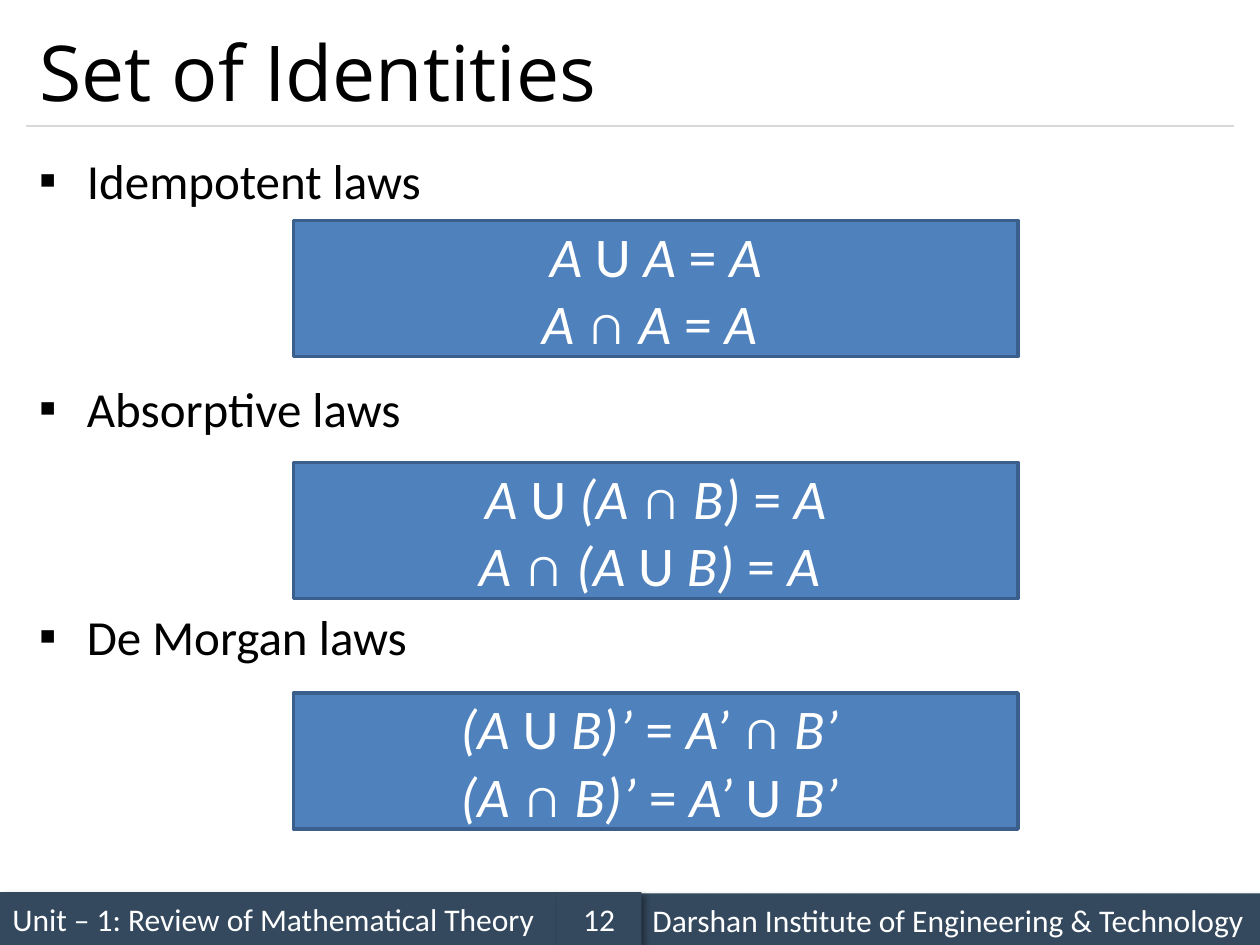
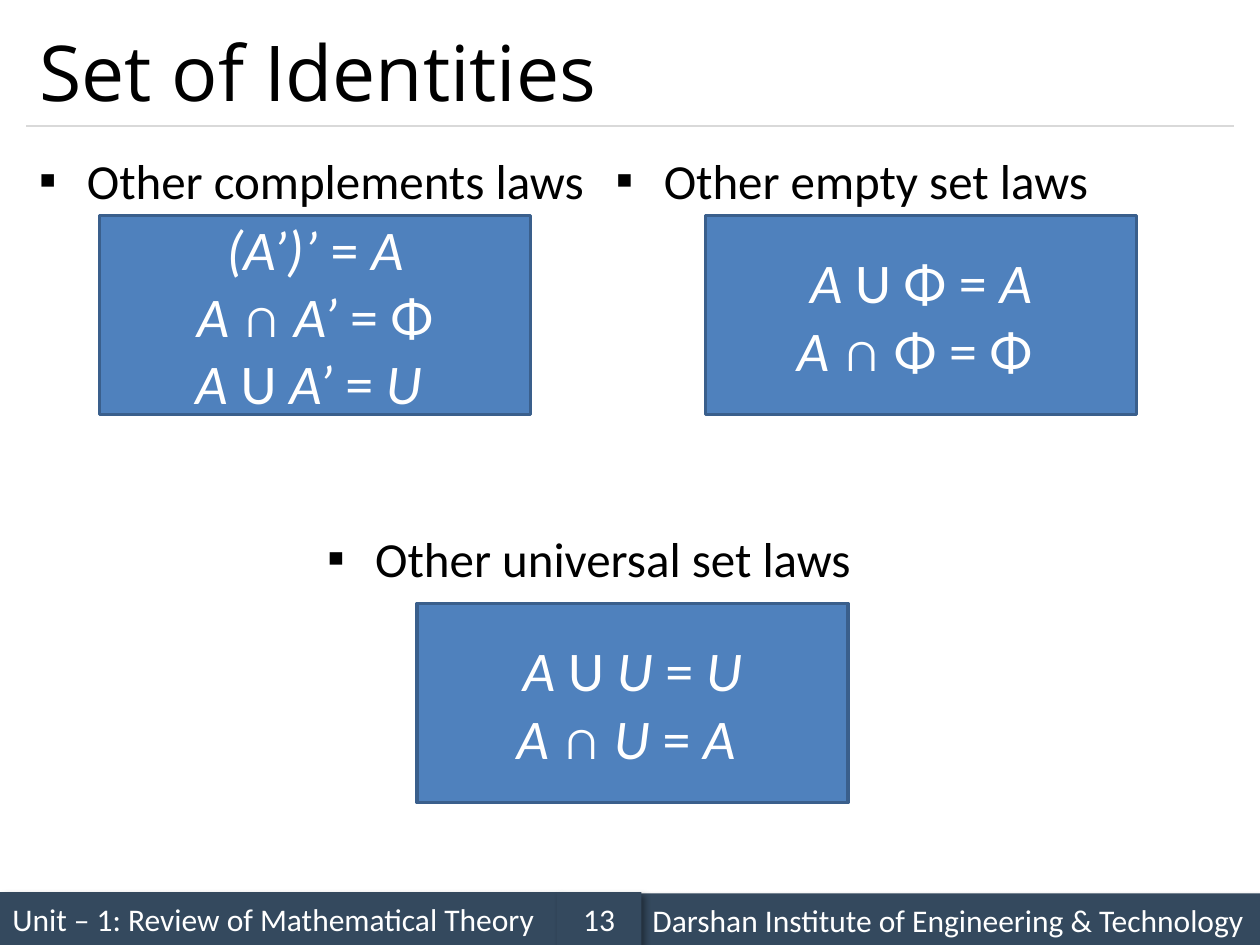
"""Build two slides that list the identities of set algebra."""
from dataclasses import dataclass

from lxml.etree import SubElement
from pptx import Presentation
from pptx.dml.color import RGBColor
from pptx.enum.shapes import MSO_CONNECTOR, MSO_SHAPE
from pptx.enum.text import MSO_ANCHOR, MSO_AUTO_SIZE, PP_ALIGN
from pptx.oxml import parse_xml
from pptx.oxml.ns import nsdecls, qn
from pptx.util import Inches, Pt


@dataclass(frozen=True)
class Theme:
    """Colours, fonts and type sizes of the deck."""
    text: RGBColor = RGBColor.from_string("000000")
    light: RGBColor = RGBColor.from_string("FFFFFF")
    rule: RGBColor = RGBColor.from_string("D9D9D9")
    band: RGBColor = RGBColor.from_string("34495E")
    box: RGBColor = RGBColor.from_string("4F81BD")
    box_line: RGBColor = RGBColor.from_string("3A5F8C")
    title_font: str = "Open Sans"
    body_font: str = "Calibri"
    title_size: int = 44
    body_size: int = 28
    formula_size: int = 32
    footer_size: int = 18
    line_spacing: float = 1.14


class Deck:
    """Holds the theme and the current slide, and draws on that slide."""

    def __init__(self, theme):
        """Open an empty presentation."""
        self.theme = theme
        self.presentation = Presentation()
        self.presentation.slide_width = Inches(10)
        self.presentation.slide_height = Inches(7.5)
        self.slide = None

    def add_slide(self, title, number):
        """Start a slide with its footer, rule and title."""
        layout = self.presentation.slide_layouts[1]
        self.slide = self.presentation.slides.add_slide(layout)
        self.band(0, 7.08, 4.42, "Unit – 1: Review of Mathematical Theory")
        self.rule(0.21, 9.79, 1)
        self.band(5.08, 7.09, 4.92, "Darshan Institute of Engineering & Technology")
        self.band(4.42, 7.08, 0.67, str(number), PP_ALIGN.CENTER)
        self.title(title)

    def style(self, font, size, color, name=None):
        """Apply size, colour and typeface to a font."""
        font.size = Pt(size)
        font.color.rgb = color
        font.name = name or self.theme.body_font

    def place(self, shape, left, top, width, height):
        """Move and size a shape."""
        shape.left, shape.top = Inches(left), Inches(top)
        shape.width, shape.height = Inches(width), Inches(height)

    def rectangle(self, left, top, width, height, fill):
        """Add a filled rectangle with vertically centred text."""
        shape = self.slide.shapes.add_shape(
            MSO_SHAPE.RECTANGLE, Inches(left), Inches(top), Inches(width), Inches(height))
        shape.shadow.inherit = False
        shape.fill.solid()
        shape.fill.fore_color.rgb = fill
        shape.text_frame.vertical_anchor = MSO_ANCHOR.MIDDLE
        return shape

    def band(self, left, top, width, text, alignment=PP_ALIGN.LEFT):
        """Add one shadowed part of the footer."""
        shape = self.rectangle(left, top, width, 0.42, self.theme.band)
        shape.line.fill.background()
        effects = shape._element.spPr.find(qn("a:effectLst"))
        effects.append(parse_xml(
            f'<a:outerShdw {nsdecls("a")} blurRad="{Pt(4)}" dist="{Pt(3)}" dir="2700000"'
            ' algn="tl" rotWithShape="0"><a:srgbClr val="000000"><a:alpha val="40000"/>'
            '</a:srgbClr></a:outerShdw>'))
        shape.text_frame.text = text
        paragraph = shape.text_frame.paragraphs[0]
        paragraph.alignment = alignment
        self.style(paragraph.runs[0].font, self.theme.footer_size, self.theme.light)

    def rule(self, left, right, top):
        """Add the thin line below the title."""
        line = self.slide.shapes.add_connector(
            MSO_CONNECTOR.STRAIGHT, Inches(left), Inches(top), Inches(right), Inches(top))
        line.line.color.rgb = self.theme.rule
        line.line.width = Pt(0.75)
        SubElement(line._element.spPr, qn("a:effectLst"))

    def title(self, text):
        """Fill the title placeholder."""
        shape = self.slide.shapes.title
        self.place(shape, 0.21, 0.12, 9.58, 0.88)
        frame = shape.text_frame
        frame.text = text
        frame.auto_size = MSO_AUTO_SIZE.NONE
        frame.vertical_anchor = MSO_ANCHOR.MIDDLE
        paragraph = frame.paragraphs[0]
        paragraph.alignment = PP_ALIGN.LEFT
        self.style(paragraph.runs[0].font, self.theme.title_size, self.theme.text,
                   self.theme.title_font)

    def body(self, left, top, width, height, items, gap=0):
        """Fill the body placeholder with a bulleted list."""
        shape = self.slide.placeholders[1]
        self.place(shape, left, top, width, height)
        self.bullets(shape.text_frame, items, gap)

    def side_list(self, left, top, width, height, items):
        """Add a bulleted list in a text box."""
        shape = self.slide.shapes.add_textbox(
            Inches(left), Inches(top), Inches(width), Inches(height))
        self.bullets(shape.text_frame, items)

    def bullets(self, frame, items, gap=0):
        """Write square bullets, with a gap in points between items."""
        frame.word_wrap = True
        frame.auto_size = MSO_AUTO_SIZE.NONE
        frame.text = "\n".join(items)
        for index, paragraph in enumerate(frame.paragraphs):
            properties = paragraph._p.get_or_add_pPr()
            properties.set("marL", str(Inches(0.38)))
            properties.set("indent", str(Inches(-0.38)))
            SubElement(properties, qn("a:buFont"), typeface=self.theme.body_font)
            SubElement(properties, qn("a:buChar"), char="▪")
            paragraph.line_spacing = self.theme.line_spacing
            paragraph.space_before = Pt(gap if index else 0)
            self.style(paragraph.runs[0].font, self.theme.body_size, self.theme.text)

    def formulas(self, left, top, width, height, lines):
        """Add a box of formulas, where asterisks enclose italic parts."""
        shape = self.rectangle(left, top, width, height, self.theme.box)
        shape.line.color.rgb = self.theme.box_line
        shape.line.width = Pt(2)
        frame = shape.text_frame
        frame.text = "\n".join(lines)
        for paragraph, line in zip(frame.paragraphs, lines):
            paragraph.clear()
            paragraph.alignment = PP_ALIGN.CENTER
            for index, part in enumerate(line.split("*")):
                if part:
                    run = paragraph.add_run()
                    run.text = part
                    run.font.italic = index % 2 == 1
                    self.style(run.font, self.theme.formula_size, self.theme.light)


def add_basic_laws(deck):
    """Add the idempotent, absorptive and De Morgan laws."""
    deck.add_slide("Set of Identities", 12)
    deck.body(0.21, 1.08, 9.58, 5.83,
              ["Idempotent laws", "Absorptive laws", "De Morgan laws"], gap=92)
    laws = [
        (1.75, ["*A *U *A* = *A*", "*A *∩* A *= *A *"]),
        (3.67, ["*A *U *(A *∩ *B) *= *A*", "*A *∩ *(A *U *B) *= *A *"]),
        (5.5, ["*(A *U *B)’ *= *A’ *∩ *B’ *", "*(A *∩* B)’ *= *A’ *U* B’ *"]),
    ]
    for top, lines in laws:
        deck.formulas(2.33, top, 5.75, 1.08, lines)


def add_other_laws(deck):
    """Add the complement, empty set and universal set laws."""
    deck.add_slide("Set of Identities", 13)
    deck.body(0.21, 1.08, 4.54, 2.33, ["Other complements laws"])
    deck.side_list(4.79, 1.08, 5.04, 2.33, ["Other empty set laws"])
    deck.side_list(2.5, 4.08, 5.04, 2.33, ["Other universal set laws"])
    laws = [
        (0.79, 1.71, ["*(A’)’ *= *A*", "*A *∩* A’ *= Φ", "*A *U *A’ *=* U *"]),
        (5.6, 1.71, ["*A *U Φ = *A*", "*A *∩ Φ = Φ "]),
        (3.31, 4.79, ["*A *U *U *= *U*", "*A *∩ *U *=* A *"]),
    ]
    for left, top, lines in laws:
        deck.formulas(left, top, 3.42, 1.58, lines)


def main():
    """Build and save the deck."""
    deck = Deck(Theme())
    add_basic_laws(deck)
    add_other_laws(deck)
    deck.presentation.save("out.pptx")


if __name__ == "__main__":
    main()
